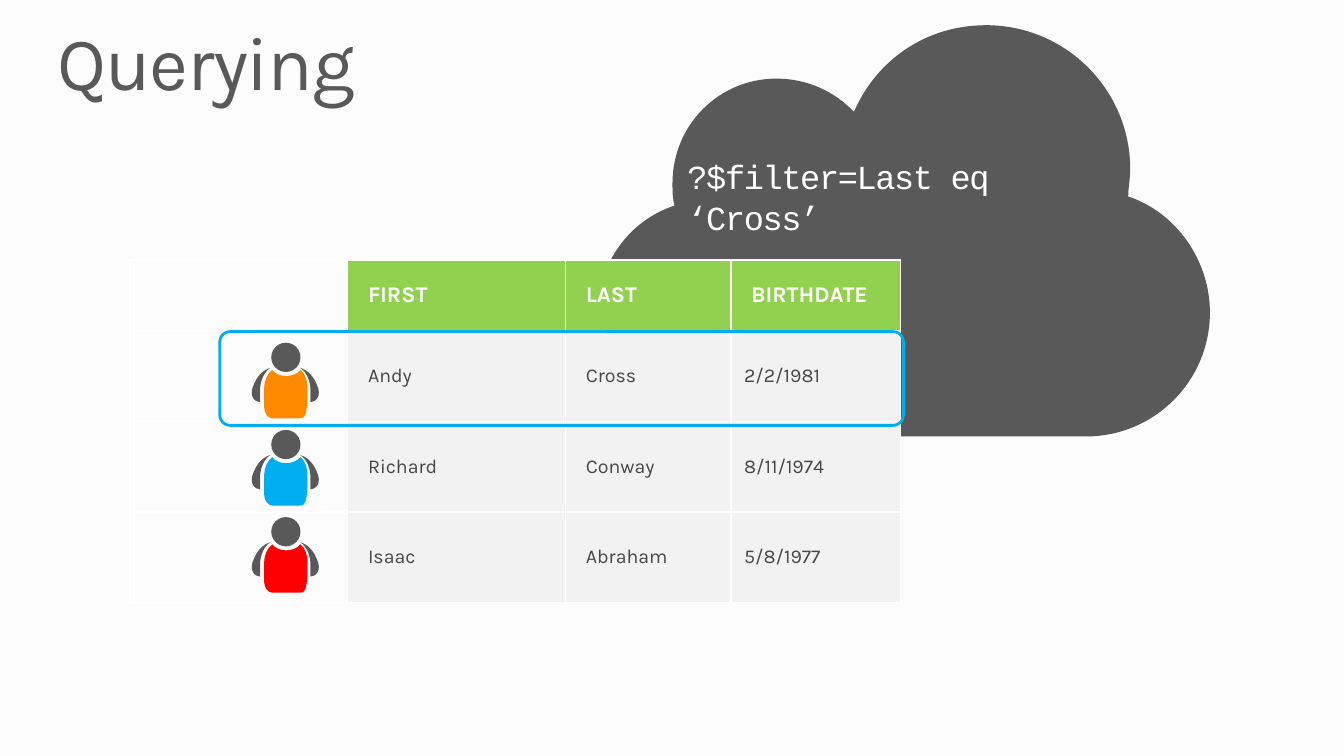
import dataclasses

import lxml.etree
import pptx
import pptx.dml.color
import pptx.enum.shapes
import pptx.enum.text
import pptx.oxml.ns
import pptx.util

Inches = pptx.util.Inches
Pt = pptx.util.Pt
qn = pptx.oxml.ns.qn


@dataclasses.dataclass(frozen=True)
class Theme:
    background: str = "FCFCFC"
    dark: str = "595959"
    body: str = "474747"
    white: str = "FFFFFF"
    green: str = "92D050"
    pale: str = "F2F2F2"
    blue: str = "00AEEF"
    orange: str = "FF8A00"
    red: str = "FF0000"
    font: str = "Karla"
    code_font: str = "Courier New"
    title_size: int = 54
    code_size: int = 24
    header_size: int = 16
    body_size: int = 14


THEME = Theme()

# Outlines in inches: a start, then line ends (2 numbers) or cubic curves (6 numbers)
CLOUD = [
    (5.27, 1.7), (5.27, 1.61, 5.29, 1.52, 5.29, 1.43), (5.29, 0.64, 4.65, 0, 3.86, 0),
    (3.26, 0, 2.77, 0.35, 2.55, 0.86), (2.36, 0.66, 2.09, 0.53, 1.78, 0.53),
    (1.21, 0.53, 0.75, 0.99, 0.75, 1.57), (0.75, 1.63, 0.75, 1.72, 0.77, 1.79),
    (0.31, 1.94, 0, 2.38, 0, 2.89), (0, 3.55, 0.53, 4.08, 1.19, 4.08), (4.85, 4.08),
    (5.53, 4.08, 6.08, 3.53, 6.08, 2.85), (6.08, 2.32, 5.73, 1.85, 5.27, 1.7),
]
ARM = [
    (0.22, 0.25), (0.19, 0.26, 0.11, 0.29, 0.06, 0.41), (0, 0.53, 0.07, 0.59, 0.12, 0.59),
    (0.12, 0.47), (0.12, 0.38, 0.16, 0.29, 0.22, 0.25),
]
TORSO = [
    (0.59, 0.45), (0.59, 0.38, 0.57, 0.31, 0.52, 0.27), (0.49, 0.31, 0.43, 0.33, 0.38, 0.33),
    (0.32, 0.33, 0.27, 0.31, 0.24, 0.27), (0.19, 0.31, 0.16, 0.38, 0.16, 0.45), (0.16, 0.64),
    (0.16, 0.7, 0.2, 0.75, 0.24, 0.75), (0.52, 0.75), (0.56, 0.75, 0.59, 0.72, 0.59, 0.5),
]
PERSON_WIDTH = 0.74


def rgb(color):
    return pptx.dml.color.RGBColor.from_string(color)


def write(frame, text, size, color, font=THEME.font, bold=False, spacing=0,
          line_spacing=None, insets=(0, 0)):
    frame.word_wrap = True
    frame.margin_left = frame.margin_right = Inches(insets[0])
    frame.margin_top = frame.margin_bottom = Inches(insets[1])
    paragraph = frame.paragraphs[0]
    paragraph.line_spacing = line_spacing
    run = paragraph.add_run()
    run.text = text
    run.font.name, run.font.size, run.font.bold = font, Pt(size), bold
    run.font.color.rgb = rgb(color)
    if spacing:
        run.font._element.set("spc", str(spacing * 100))


def paint(shape, color):
    shape.shadow.inherit = False
    shape.fill.solid()
    shape.fill.fore_color.rgb = rgb(color)
    shape.line.fill.background()


def mirror(outline, width):
    return [tuple(n if i % 2 else width - n for i, n in enumerate(segment))
            for segment in outline]


def add_outline(shapes, outline, left, top, color):
    ends = [(Inches(left + s[-2]), Inches(top + s[-1])) for s in outline]
    builder = shapes.build_freeform(*ends[0], scale=1.0)
    builder.add_line_segments(ends[1:], close=True)
    shape = builder.convert_to_shape()
    # Bend the straight sides that have control points
    sides = list(shape._element.iter(qn("a:lnTo")))
    for side, segment in zip(sides, outline[1:]):
        if len(segment) == 6:
            curve = lxml.etree.Element(qn("a:cubicBezTo"))
            for x, y in zip(segment[::2], segment[1::2]):
                lxml.etree.SubElement(curve, qn("a:pt"),
                                      x=str(Inches(left + x) - shape.left),
                                      y=str(Inches(top + y) - shape.top))
            side.getparent().replace(side, curve)
    paint(shape, color)


def add_title(slide, left, top, width, height):
    title = slide.shapes.add_textbox(*map(Inches, (left, top, width, height)))
    write(title.text_frame, "Querying", THEME.title_size, THEME.dark,
          spacing=-1, line_spacing=0.9)


def add_query(slide, left, top, width, height):
    query = slide.shapes.add_textbox(*map(Inches, (left, top, width, height)))
    write(query.text_frame, "?$filter=Last eq ‘Cross’", THEME.code_size, THEME.white,
          font=THEME.code_font, spacing=-1, insets=(0.1, 0.05))


def add_borders(cell, color):
    properties = cell._tc.get_or_add_tcPr()
    for side in ("lnL", "lnR", "lnT", "lnB"):
        line = lxml.etree.SubElement(properties, qn(f"a:{side}"), w=str(Pt(1)))
        fill = lxml.etree.SubElement(line, qn("a:solidFill"))
        lxml.etree.SubElement(fill, qn("a:srgbClr"), val=color)


def add_people_table(slide, left, top):
    records = [
        ("FIRST", "LAST", "BIRTHDATE"),
        ("Andy", "Cross", "2/2/1981"),
        ("Richard", "Conway", "8/11/1974"),
        ("Isaac", "Abraham", "5/8/1977"),
    ]
    widths = (2.16, 2.16, 1.64, 1.68)
    heights = (0.7, 0.9, 0.9, 0.9)
    table = slide.shapes.add_table(
        len(heights), len(widths), Inches(left), Inches(top),
        Inches(sum(widths)), Inches(sum(heights))).table
    table.first_row = table.horz_banding = False
    for column, width in zip(table.columns, widths):
        column.width = Inches(width)
    for r, (height, record) in enumerate(zip(heights, records)):
        table.rows[r].height = Inches(height)
        table.cell(r, 0).fill.background()  # icon column stays clear
        header = r == 0
        for c, value in enumerate(record, start=1):
            cell = table.cell(r, c)
            add_borders(cell, THEME.white)
            cell.fill.solid()
            cell.fill.fore_color.rgb = rgb(THEME.green if header else THEME.pale)
            cell.vertical_anchor = pptx.enum.text.MSO_ANCHOR.MIDDLE
            is_date = c == 3 and not header
            write(cell.text_frame, value,
                  THEME.header_size if header else THEME.body_size,
                  THEME.white if header else THEME.body, bold=header)
            cell.margin_left = cell.margin_right = Inches(0.13 if is_date else 0.2)
            cell.margin_top = cell.margin_bottom = Inches(0.05 if is_date else 0.1)


def add_highlight(slide, left, top, width, height):
    highlight = slide.shapes.add_shape(
        pptx.enum.shapes.MSO_SHAPE.ROUNDED_RECTANGLE,
        *map(Inches, (left, top, width, height)))
    highlight.adjustments[0] = 0.11
    highlight.shadow.inherit = False
    highlight.fill.background()
    highlight.line.color.rgb = rgb(THEME.blue)
    highlight.line.width = Pt(2)


def add_person(slide, left, top, color):
    parts = slide.shapes.add_group_shape().shapes
    add_outline(parts, ARM, left, top, THEME.dark)
    add_outline(parts, mirror(ARM, PERSON_WIDTH), left, top, THEME.dark)
    add_outline(parts, TORSO, left, top, color)
    head = parts.add_shape(pptx.enum.shapes.MSO_SHAPE.OVAL, Inches(left + 0.23),
                           Inches(top), Inches(0.29), Inches(0.29))
    paint(head, THEME.dark)


def main():
    deck = pptx.Presentation()
    deck.slide_width, deck.slide_height = Inches(13.33), Inches(7.5)
    slide = deck.slides.add_slide(deck.slide_layouts[6])
    slide.background.fill.solid()
    slide.background.fill.fore_color.rgb = rgb(THEME.background)

    add_outline(slide.shapes, CLOUD, 5.92, 0.25, THEME.dark)
    add_title(slide, 0.57, 0.25, 12.2, 0.82)
    add_people_table(slide, 1.29, 2.58)
    add_highlight(slide, 2.18, 3.29, 6.78, 0.93)

    # One person beside each record, evenly spaced
    first_top, last_top = 3.4, 5.13
    colors = (THEME.orange, THEME.blue, THEME.red)
    pitch = (last_top - first_top) / (len(colors) - 1)
    for index, color in enumerate(colors):
        add_person(slide, 2.46, first_top + index * pitch, color)

    add_query(slide, 6.72, 1.5, 4.33, 0.86)
    deck.save("out.pptx")


if __name__ == "__main__":
    main()
